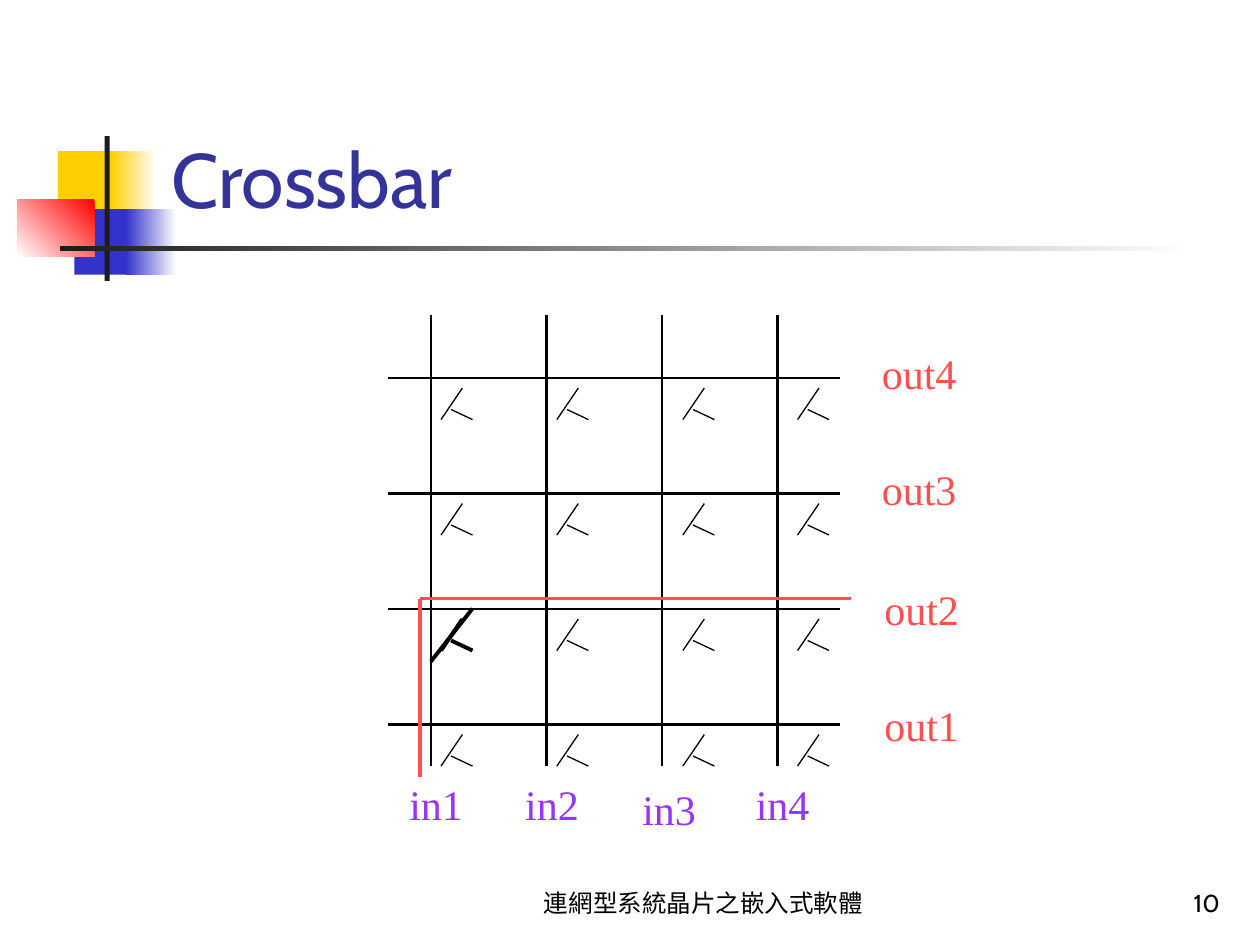
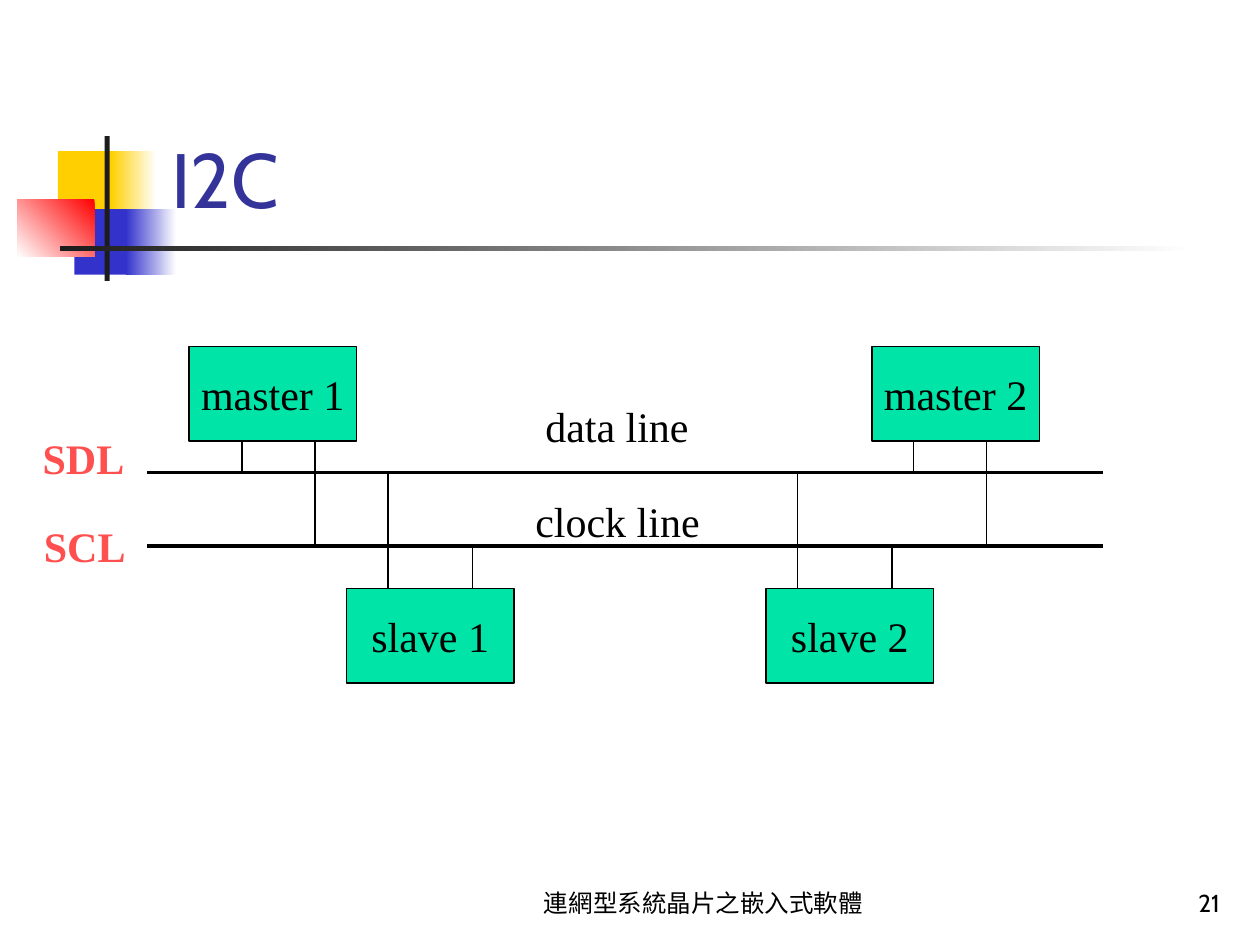
import pptx
import pptx.dml.color
import pptx.enum.shapes
import pptx.enum.text
import pptx.oxml
import pptx.util

Inches, Pt = pptx.util.Inches, pptx.util.Pt
RGB = pptx.dml.color.RGBColor
ALIGN = pptx.enum.text.PP_ALIGN
ANCHOR = pptx.enum.text.MSO_ANCHOR
FIT_SHAPE = pptx.enum.text.MSO_AUTO_SIZE.SHAPE_TO_FIT_TEXT
RECTANGLE = pptx.enum.shapes.MSO_SHAPE.RECTANGLE
STRAIGHT = pptx.enum.shapes.MSO_CONNECTOR.STRAIGHT

BLACK = RGB(0, 0, 0)
WHITE = RGB(255, 255, 255)
CHARCOAL = RGB(0x1C, 0x1C, 0x1C)
YELLOW = RGB(0xFF, 0xCF, 0x01)
BLUE = RGB(0x33, 0x33, 0xCC)
RED = RGB(0xFF, 0, 0)
NAVY = RGB(0x33, 0x33, 0x99)
PURPLE = RGB(0x99, 0x33, 0xFF)
CORAL = RGB(0xFF, 0x50, 0x50)
GREEN = RGB(0, 0xE4, 0xA8)
SANS, SERIF = "Cabin", "Times New Roman"

# Shared band: box, colours (two make a gradient), gradient angle
BAND = [
    ((0.46, 1.2, 0.48, 0.52), [YELLOW], 0),
    ((0.88, 1.2, 0.36, 0.52), [WHITE, YELLOW], 180),
    ((0.59, 1.66, 0.46, 0.52), [BLUE], 0),
    ((1, 1.66, 0.4, 0.52), [WHITE, BLUE], 180),
    ((0.14, 1.58, 0.61, 0.46), [RED, WHITE], 225),
    ((0.83, 1.08, 0.04, 1.15), [CHARCOAL], 0),
    ((0.48, 1.95, 9, 0.04), [WHITE, CHARCOAL], 180),
]
FOOTER = "連網型系統晶片之嵌入式軟體"

# Crossbar
PITCH = 11 / 12
WIRE_X, WIRE_Y = 3.42, 3
SWITCH_X = [3.5, 4.42, 5.42, 6.33]
SWITCH_Y = 3.08
CLOSED_SWITCH = (0, 2)  # column, row
INPUTS = [("in1", 3.15, 6.13), ("in2", 4.07, 6.13),
          ("in3", 5, 6.17), ("in4", 5.9, 6.13)]
OUTPUTS = [("out1", 6.92, 5.5), ("out2", 6.92, 4.58),
           ("out3", 6.9, 3.63), ("out4", 6.9, 2.71)]
ROUTE = [((3.42, 5.25), (3.75, 4.83), BLACK),
         ((3.33, 6.17), (3.33, 4.75), CORAL),
         ((3.33, 4.75), (6.75, 4.75), CORAL)]

# I2C bus
DATA_Y, CLOCK_Y = 3.75, 4.33
MASTER_Y, SLAVE_Y = 2.75, 4.67
DEVICE_W, DEVICE_H = 1.33, 0.75
# name, left, top, x of the data tap, x of the clock tap
DEVICES = [
    ("master 1", 1.5, MASTER_Y, 1.92, 2.5),
    ("master 2", 6.92, MASTER_Y, 7.25, 7.83),
    ("slave 1", 2.75, SLAVE_Y, 3.08, 3.75),
    ("slave 2", 6.08, SLAVE_Y, 6.33, 7.08),
]
BUS_LABELS = [
    ("SCL", (0.25, 4.08, 0.86, 0.5), CORAL, True),
    ("SDL", (0.24, 3.38, 0.86, 0.5), CORAL, True),
    ("data line", (4.23, 3.13, 1.36, 0.5), BLACK, False),
    ("clock line", (4.15, 3.88, 1.52, 0.5), BLACK, False),
]


def inches(values):
    return [Inches(v) for v in values]


def write(shape, text, size=24, font=SERIF, color=BLACK, bold=False,
          align=ALIGN.LEFT, anchor=ANCHOR.TOP, wrap=False):
    tf = shape.text_frame
    tf.word_wrap = wrap
    tf.vertical_anchor = anchor
    p = tf.paragraphs[0]
    p.alignment = align
    r = p.add_run()
    r.text = text
    formats = {"name": font, "size": Pt(size), "bold": bold}
    for key, value in formats.items():
        setattr(r.font, key, value)
    r.font.color.rgb = color


def add_text(s, box, text, **formats):
    sp = s.shapes.add_textbox(*inches(box))
    write(sp, text, **formats)
    if not sp.text_frame.word_wrap:
        sp.text_frame.auto_size = FIT_SHAPE


def add_rect(s, box, colors, angle=0):
    sp = s.shapes.add_shape(RECTANGLE, *inches(box))
    sp.shadow.inherit = False
    sp.line.fill.background()
    if len(colors) == 1:
        sp.fill.solid()
        sp.fill.fore_color.rgb = colors[0]
    else:
        sp.fill.gradient()
        sp.fill.gradient_angle = angle
        for stop, color, position in zip(sp.fill.gradient_stops, colors, (0, 1)):
            stop.color.rgb = color
            stop.position = position
    return sp


def add_line(s, start, end, width=0.75, color=BLACK):
    c = s.shapes.add_connector(STRAIGHT, *inches(start + end))
    c.line.width = Pt(width)
    c.line.color.rgb = color
    c._element.spPr.append(pptx.oxml.parse_xml(
        '<a:effectLst xmlns:a="http://schemas.openxmlformats.org/drawingml/2006/main"/>'))


def new_slide(prs, title, number):
    """Add a slide with the shared band, title and footer."""
    s = prs.slides.add_slide(prs.slide_layouts[6])
    for box, colors, angle in BAND:
        add_rect(s, box, colors, angle)
    shared = {"font": SANS, "anchor": ANCHOR.BOTTOM, "wrap": True}
    add_text(s, (1.26, 0.23, 8.52, 1.6), title, size=44, color=NAVY, **shared)
    add_text(s, (4, 6.83, 3.17, 0.5), FOOTER, size=14, align=ALIGN.CENTER, **shared)
    add_text(s, (7.7, 6.83, 2.08, 0.5), number, size=14, align=ALIGN.RIGHT, **shared)
    return s


def draw_crossbar(s):
    for i in range(4):
        x, y = WIRE_X + i * PITCH, WIRE_Y + i * PITCH
        add_line(s, (x, 6.08), (x, 2.5), 1.5)
        add_line(s, (3.08, y), (6.67, y), 1.5)
    for row in range(4):
        y = SWITCH_Y + row * PITCH
        for col, x in enumerate(SWITCH_X):
            width = 2.25 if (col, row) == CLOSED_SWITCH else 0.75
            add_line(s, (x, y + 0.25), (x + 0.17, y), width)
            add_line(s, (x + 0.08, y + 0.17), (x + 0.25, y + 0.25), width)
    for labels, width, color in ((INPUTS, 0.64, PURPLE), (OUTPUTS, 0.8, CORAL)):
        for text, x, y in labels:
            add_text(s, (x, y, width, 0.5), text, color=color)
    for start, end, color in ROUTE:
        add_line(s, start, end, 2.25, color)


def draw_bus(s):
    for y in (DATA_Y, CLOCK_Y):
        add_line(s, (1.17, y), (8.75, y), 2.25)
    for name, x, y, data_x, clock_x in DEVICES:
        sp = add_rect(s, (x, y, DEVICE_W, DEVICE_H), [GREEN])
        sp.line.color.rgb = BLACK
        sp.line.width = Pt(0.75)
        write(sp, name, align=ALIGN.CENTER, anchor=ANCHOR.MIDDLE)
        edge = y + DEVICE_H if y == MASTER_Y else y
        add_line(s, (data_x, edge), (data_x, DATA_Y))
        add_line(s, (clock_x, edge), (clock_x, CLOCK_Y))
    for text, box, color, bold in BUS_LABELS:
        add_text(s, box, text, color=color, bold=bold)


def main():
    prs = pptx.Presentation()
    prs.slide_width, prs.slide_height = Inches(10), Inches(7.5)
    draw_crossbar(new_slide(prs, "Crossbar", "10"))
    draw_bus(new_slide(prs, "I2C", "21"))
    prs.save("out.pptx")


if __name__ == "__main__":
    main()
